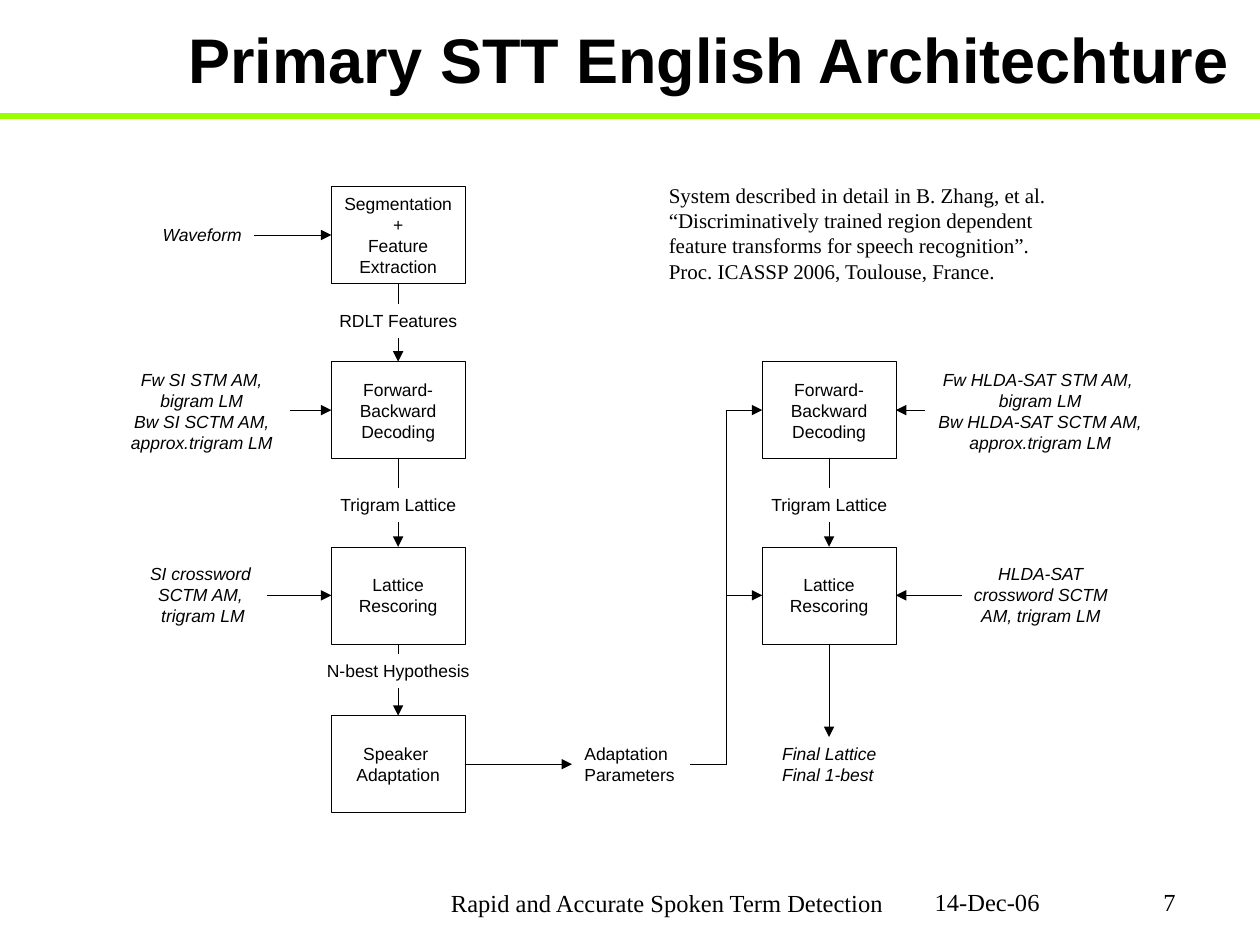
from dataclasses import dataclass

from lxml import etree
from pptx import Presentation
from pptx.dml.color import RGBColor
from pptx.enum.dml import MSO_LINE
from pptx.enum.shapes import MSO_CONNECTOR as CONN, MSO_SHAPE
from pptx.enum.text import MSO_ANCHOR as ANCHOR, MSO_AUTO_SIZE as FIT, PP_ALIGN as ALIGN
from pptx.oxml.ns import qn
from pptx.util import Inches, Pt


@dataclass(frozen=True)
class Theme:
    ink: RGBColor = RGBColor(0, 0, 0)
    rule: RGBColor = RGBColor(0x9B, 0xFF, 0)
    sans: str = "Arial"
    serif: str = "Times New Roman"
    title: int = 36
    label: int = 10
    note: int = 12
    footer: int = 14
    thin: float = 0.25
    thick: int = 3


THEME = Theme()
BOX_W, BOX_H = 1.06, 0.77
COLS = {"first": 3.16, "second": 6.58}
ROWS = {"segment": 1.48, "decode": 2.87, "rescore": 4.34, "adapt": 5.68}
LABEL_H = 0.27

TITLE = "Primary STT English Architechture"
CITATION = (
    "System described in detail in B. Zhang, et al. “Discriminatively trained "
    "region dependent feature transforms for speech recognition”. "
    "Proc. ICASSP 2006, Toulouse, France."
)
DECODE = "Forward-\nBackward\nDecoding"
RESCORE = "Lattice\nRescoring"
STAGES = [
    ("first", "segment", "Segmentation\n+\nFeature\nExtraction"),
    ("first", "decode", DECODE),
    ("first", "rescore", RESCORE),
    ("first", "adapt", "Speaker \nAdaptation"),
    ("second", "decode", DECODE),
    ("second", "rescore", RESCORE),
]
FLOWS = [
    ("first", "segment", "decode", "RDLT Features", 2.41, 1.14),
    ("first", "decode", "rescore", "Trigram Lattice", 3.87, 1.12),
    ("first", "rescore", "adapt", "N-best Hypothesis", 5.19, 1.33),
    ("second", "decode", "rescore", "Trigram Lattice", 3.87, 1.12),
]
INPUTS = [
    ("first", "segment", "Waveform", (1.19, 1.73, 0.83, 0.27), 2.02, False),
    ("first", "decode", "Fw SI STM AM,\nbigram LM\nBw SI SCTM AM,\napprox.trigram LM",
     (0.94, 2.88, 1.32, 0.77), 2.3, True),
    ("first", "rescore", "SI crossword \nSCTM AM, \ntrigram LM",
     (1.09, 4.42, 1.04, 0.6), 2.12, True),
    ("second", "decode",
     "Fw HLDA-SAT STM AM, \nbigram LM\nBw HLDA-SAT SCTM AM,\napprox.trigram LM",
     (7.34, 2.88, 1.83, 0.77), 7.34, True),
    ("second", "rescore", "HLDA-SAT\ncrossword SCTM\nAM, trigram LM",
     (7.63, 4.42, 1.26, 0.6), 7.63, True),
]
PARAMETERS = ("Adaptation\nParameters", (4.54, 5.85, 0.94, 0.44))
RESULT = ("Final Lattice\nFinal 1-best", (6.11, 5.85, 0.98, 0.44))
FOOTERS = [
    ("Rapid and Accurate Spoken Term Detection", (3.42, 7, 3.75, 0.5), ALIGN.CENTER),
    ("14-Dec-06", (7.32, 6.99, 1.26, 0.5), ALIGN.LEFT),
    ("7", (8.93, 6.99, 0.5, 0.5), ALIGN.RIGHT),
]


def write(sp, text, size, font=THEME.sans, align=ALIGN.CENTER, anchor=ANCHOR.TOP,
          wrap=False, bold=False, italic=False):
    tf = sp.text_frame
    tf.text = text
    tf.word_wrap = wrap
    tf.vertical_anchor = anchor
    for p in tf.paragraphs:
        p.alignment = align
        for r in p.runs:
            r.font.name, r.font.size = font, Pt(size)
            r.font.bold, r.font.italic = bold, italic
            r.font.color.rgb = THEME.ink


def add_text(s, at, text, size=THEME.label, wrap=False, **style):
    sp = s.shapes.add_textbox(*map(Inches, at))
    write(sp, text, size, wrap=wrap, **style)
    sp.text_frame.auto_size = FIT.NONE if wrap else FIT.SHAPE_TO_FIT_TEXT


def add_line(s, start, end, kind=CONN.STRAIGHT, color=THEME.ink, width=THEME.thin,
             arrow=True, dotted=False):
    sp = s.shapes.add_connector(kind, *map(Inches, (*start, *end)))
    sp.line.color.rgb = color
    sp.line.width = Pt(width)
    if dotted:
        sp.line.dash_style = MSO_LINE.ROUND_DOT
    if arrow:
        etree.SubElement(sp.line._get_or_add_ln(), qn("a:tailEnd"), type="triangle")
    etree.SubElement(sp._element.spPr, qn("a:effectLst"))


def add_stage(s, col, row, text):
    at = (COLS[col] - BOX_W / 2, ROWS[row], BOX_W, BOX_H)
    sp = s.shapes.add_shape(MSO_SHAPE.RECTANGLE, *map(Inches, at))
    sp.shadow.inherit = False
    sp.fill.background()
    sp.line.color.rgb = THEME.ink
    sp.line.width = Pt(THEME.thin)
    write(sp, text, THEME.label, anchor=ANCHOR.MIDDLE)


def add_flow(s, col, source, target, text, top, width):
    x = COLS[col]
    add_line(s, (x, ROWS[source] + BOX_H), (x, top), arrow=False)
    add_line(s, (x, top + LABEL_H), (x, ROWS[target]))
    add_text(s, (x - width / 2, top, width, LABEL_H), text)


def add_input(s, col, row, text, at, start, dotted):
    side = -1 if col == "first" else 1
    y = ROWS[row] + BOX_H / 2
    add_line(s, (start, y), (COLS[col] + side * BOX_W / 2, y), dotted=dotted)
    add_text(s, at, text, italic=True)


def add_adaptation(s):
    text, at = PARAMETERS
    left, top, width, height = at
    y = ROWS["adapt"] + BOX_H / 2
    add_text(s, at, text, align=ALIGN.LEFT)
    add_line(s, (COLS["first"] + BOX_W / 2, y), (left, y))
    for row in ("rescore", "decode"):
        end = (COLS["second"] - BOX_W / 2, ROWS[row] + BOX_H / 2)
        add_line(s, (left + width, y), end, CONN.ELBOW)


def add_result(s):
    text, at = RESULT
    x = COLS["second"]
    add_line(s, (x, ROWS["rescore"] + BOX_H), (x, at[1]))
    add_text(s, at, text, align=ALIGN.LEFT, italic=True)


def main():
    """Build the speech-to-text architecture slide."""
    prs = Presentation()
    prs.slide_width, prs.slide_height = Inches(10), Inches(7.5)
    s = prs.slides.add_slide(prs.slide_layouts[6])
    add_line(s, (10, 0.92), (0, 0.92), color=THEME.rule, width=THEME.thick, arrow=False)
    add_text(s, (1.25, 0, 8.75, 0.92), TITLE, THEME.title,
             anchor=ANCHOR.MIDDLE, wrap=True, bold=True)
    for stage in STAGES:
        add_stage(s, *stage)
    for flow in FLOWS:
        add_flow(s, *flow)
    for entry in INPUTS:
        add_input(s, *entry)
    add_adaptation(s)
    add_result(s)
    add_text(s, (5.21, 1.4, 3.27, 0.9), CITATION, THEME.note, font=THEME.serif,
             align=ALIGN.LEFT, wrap=True)
    for text, at, align in FOOTERS:
        add_text(s, at, text, THEME.footer, font=THEME.serif, align=align, wrap=True)
    prs.save("out.pptx")


if __name__ == "__main__":
    main()
